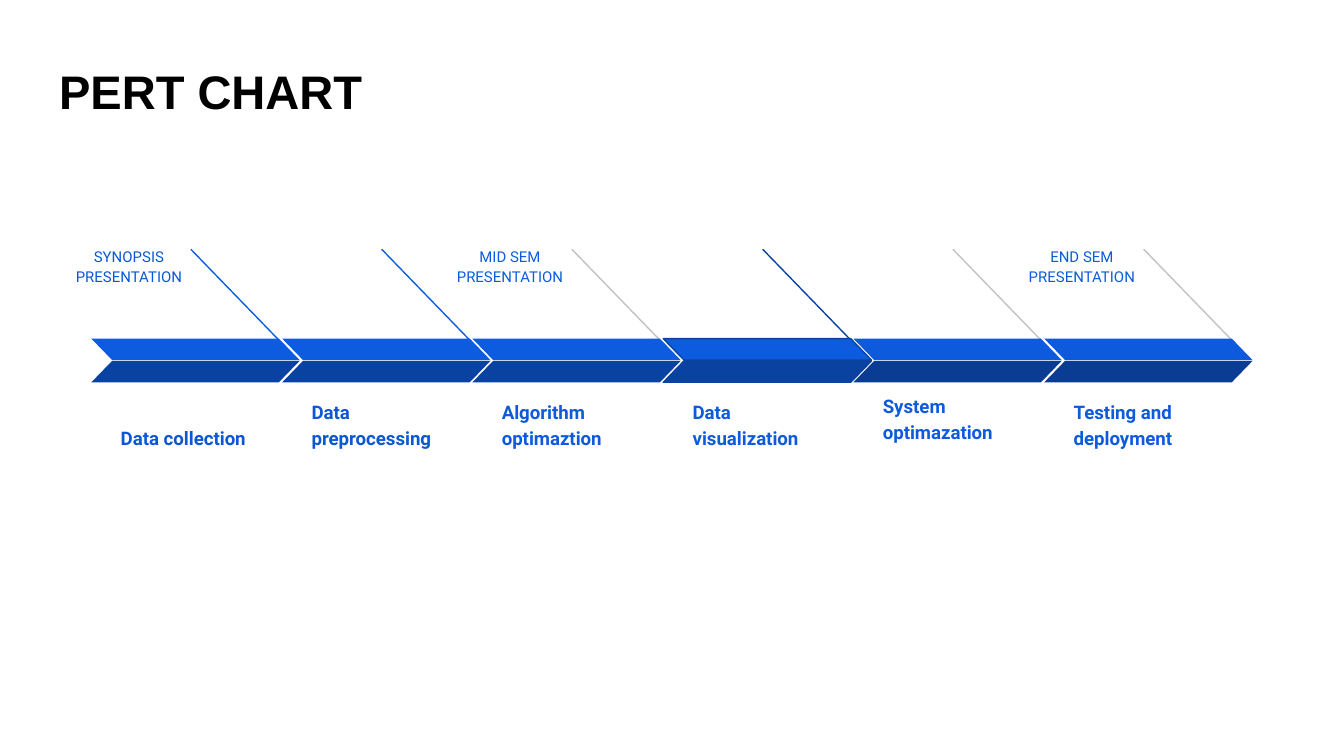
from dataclasses import dataclass
from typing import Optional

from lxml import etree
from pptx import Presentation
from pptx import util as u
from pptx.dml.color import RGBColor
from pptx.enum import shapes, text
from pptx.oxml.ns import qn

PX = u.Inches(1) // 200


@dataclass(frozen=True)
class Theme:
    black: str = "000000"
    bright: str = "0D5CDF"
    blue: str = "0D5BDC"
    medium: str = "0C57D3"
    deep: str = "0942A1"
    navy: str = "093C92"
    gray: str = "C2C2C2"
    heading_font: str = "Arial"
    body_font: str = "Roboto"
    title_size: float = 25.2
    label_size: float = 10
    milestone_size: float = 8
    line_width: float = 0.75


T = Theme()


@dataclass(frozen=True)
class Stage:
    label: str
    ray: str
    upper: str = T.bright
    lower: str = T.deep
    ink: str = T.blue
    milestone: Optional[str] = None
    outline: Optional[str] = None
    label_top: int = 590


STAGES = [
    Stage("Data collection", T.bright, ink=T.medium, milestone="SYNOPSIS PRESENTATION"),
    Stage("Data preprocessing", T.bright, ink=T.medium),
    Stage("Algorithm optimaztion", T.gray, milestone="MID SEM PRESENTATION"),
    Stage("Data visualization", T.deep, outline=T.deep),
    Stage("System optimazation", T.gray, T.blue, T.navy, label_top=582),
    Stage("Testing and deployment", T.gray, T.blue, T.navy, milestone="END SEM PRESENTATION"),
]
FIRST_LEFT, LAST_LEFT = 136, 1554


def rgb(value: str) -> RGBColor:
    return RGBColor.from_string(value)


def box(left: int, top: int, width: int, height: int) -> list[int]:
    return [v * PX for v in (left, top, width, height)]


def write(sp, content: str, *, size: float, color: str, font: str = T.body_font,
          bold: bool = False, align=text.PP_ALIGN.LEFT, anchor=text.MSO_ANCHOR.TOP,
          spacing: float = 1.15, after: float = 0) -> None:
    tf = sp.text_frame
    tf.word_wrap = True
    tf.auto_size = text.MSO_AUTO_SIZE.NONE
    tf.vertical_anchor = anchor
    tf.margin_left = tf.margin_right = tf.margin_top = tf.margin_bottom = 20 * PX
    p = tf.paragraphs[0]
    p.alignment, p.line_spacing, p.space_after = align, spacing, u.Pt(after)
    p.space_before = u.Pt(0)
    r = p.add_run()
    r.text = content
    r.font.name, r.font.size, r.font.bold = font, u.Pt(size), bold
    r.font.color.rgb = rgb(color)


def draw_ray(s, left: int, color: str) -> None:
    ends = box(left + 148, 371, left + 306, 534)
    line = s.shapes.add_connector(shapes.MSO_CONNECTOR.STRAIGHT, *ends)
    line.line.color.rgb = rgb(color)
    line.line.width = u.Pt(T.line_width)
    etree.SubElement(line.element.spPr, qn("a:effectLst"))


def draw_band(s, left: int, top: int, fill: str, outline: Optional[str],
              flipped: bool = False) -> None:
    sp = s.shapes.add_shape(shapes.MSO_SHAPE.PARALLELOGRAM, *box(left, top, 310, 32))
    sp.adjustments[0] = 0.97
    sp.shadow.inherit = False
    sp.fill.solid()
    sp.fill.fore_color.rgb = rgb(fill)
    if outline:
        sp.line.color.rgb = rgb(outline)
        sp.line.width = u.Pt(T.line_width)
    else:
        sp.line.fill.background()
    if flipped:
        sp.element.spPr.find(qn("a:xfrm")).set("flipH", "1")


def draw_stage(s, stage: Stage, left: int) -> None:
    draw_ray(s, left, stage.ray)
    draw_band(s, left, 504, stage.upper, stage.outline, flipped=True)
    draw_band(s, left, 537, stage.lower, stage.outline)
    label = s.shapes.add_textbox(*box(left + 24, stage.label_top, 256, 98))
    write(label, stage.label, size=T.label_size, color=stage.ink, bold=True,
          anchor=text.MSO_ANCHOR.BOTTOM)
    if stage.milestone:
        note = s.shapes.add_textbox(*box(left - 46, 344, 204, 52))
        write(note, stage.milestone, size=T.milestone_size, color=stage.ink,
              align=text.PP_ALIGN.CENTER, after=16)


def main() -> None:
    prs = Presentation()
    prs.slide_width, prs.slide_height = 2000 * PX, 1125 * PX
    s = prs.slides.add_slide(prs.slide_layouts[5])
    title = s.shapes.title
    title.left, title.top, title.width, title.height = box(68, 73, 1864, 126)
    write(title, "PERT CHART", size=T.title_size, color=T.black,
          font=T.heading_font, bold=True, spacing=1.0)
    pitch = (LAST_LEFT - FIRST_LEFT) / (len(STAGES) - 1)
    for i, stage in enumerate(STAGES):
        draw_stage(s, stage, round(FIRST_LEFT + i * pitch))
    prs.save("out.pptx")


if __name__ == "__main__":
    main()
